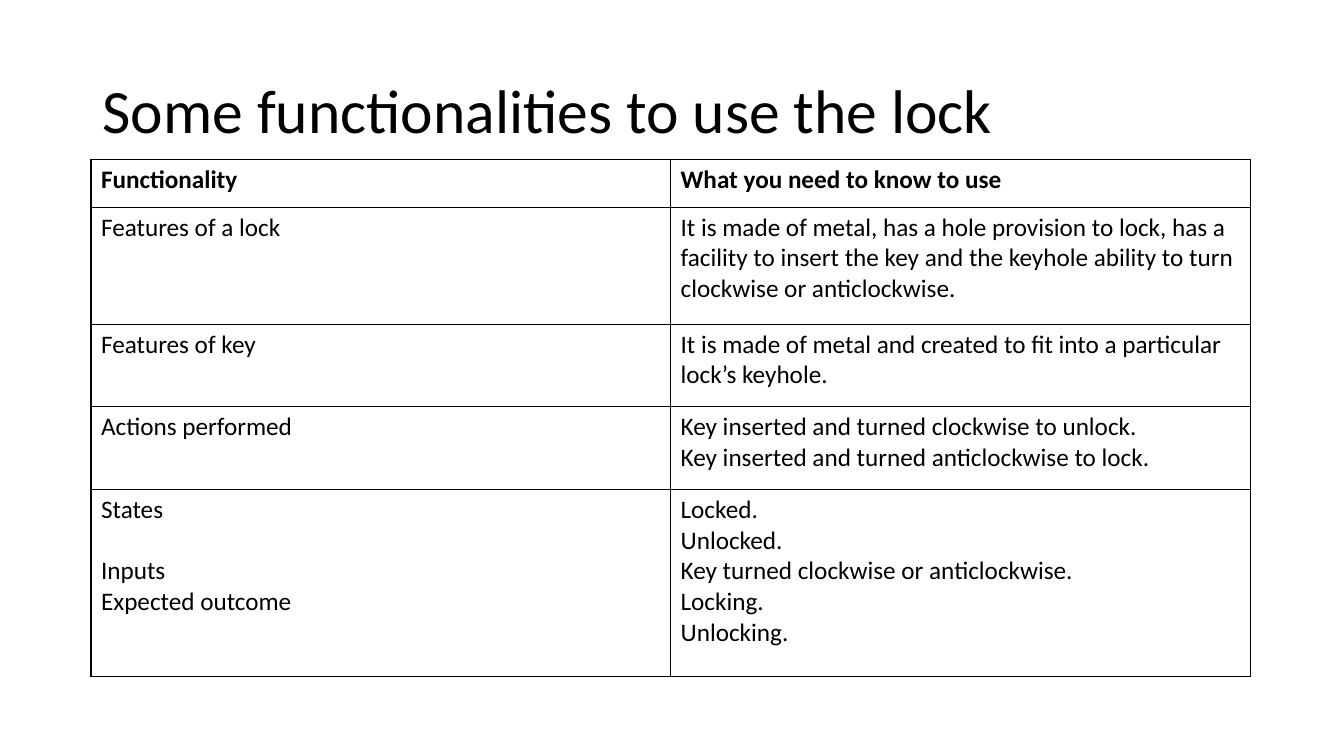
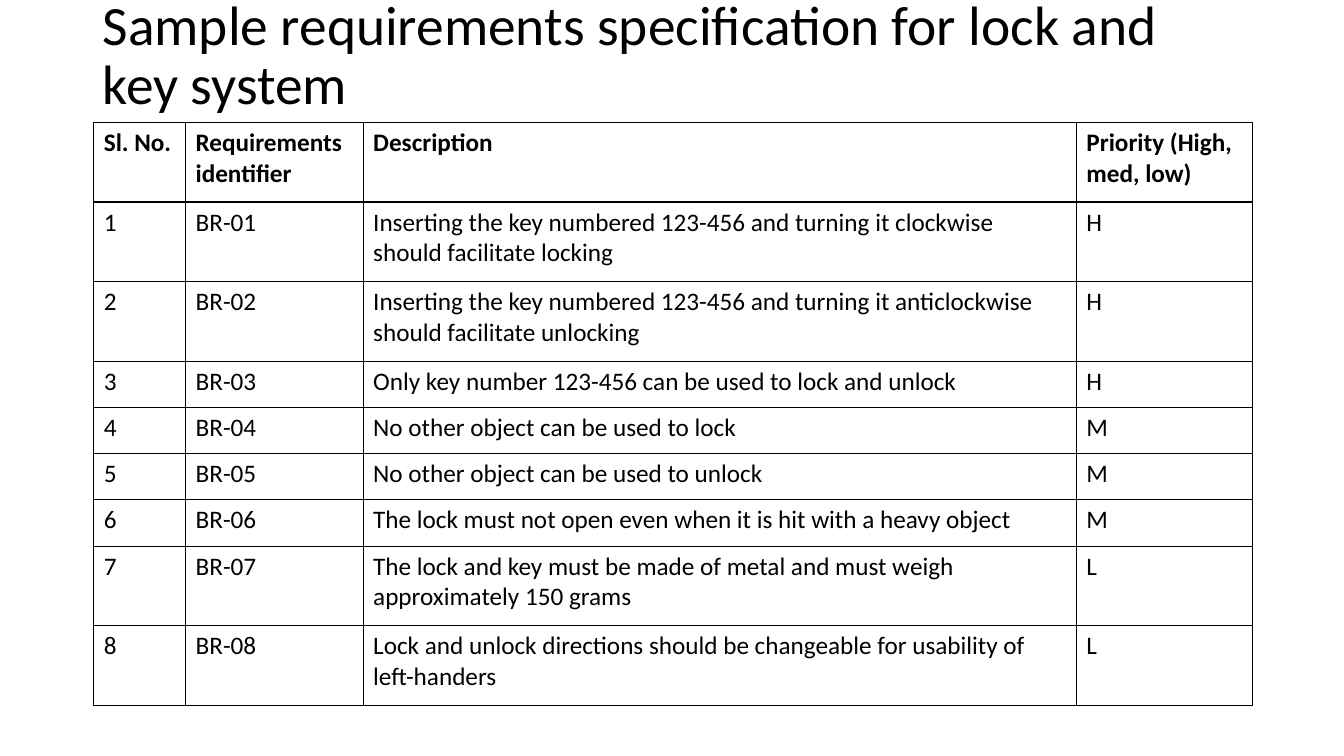
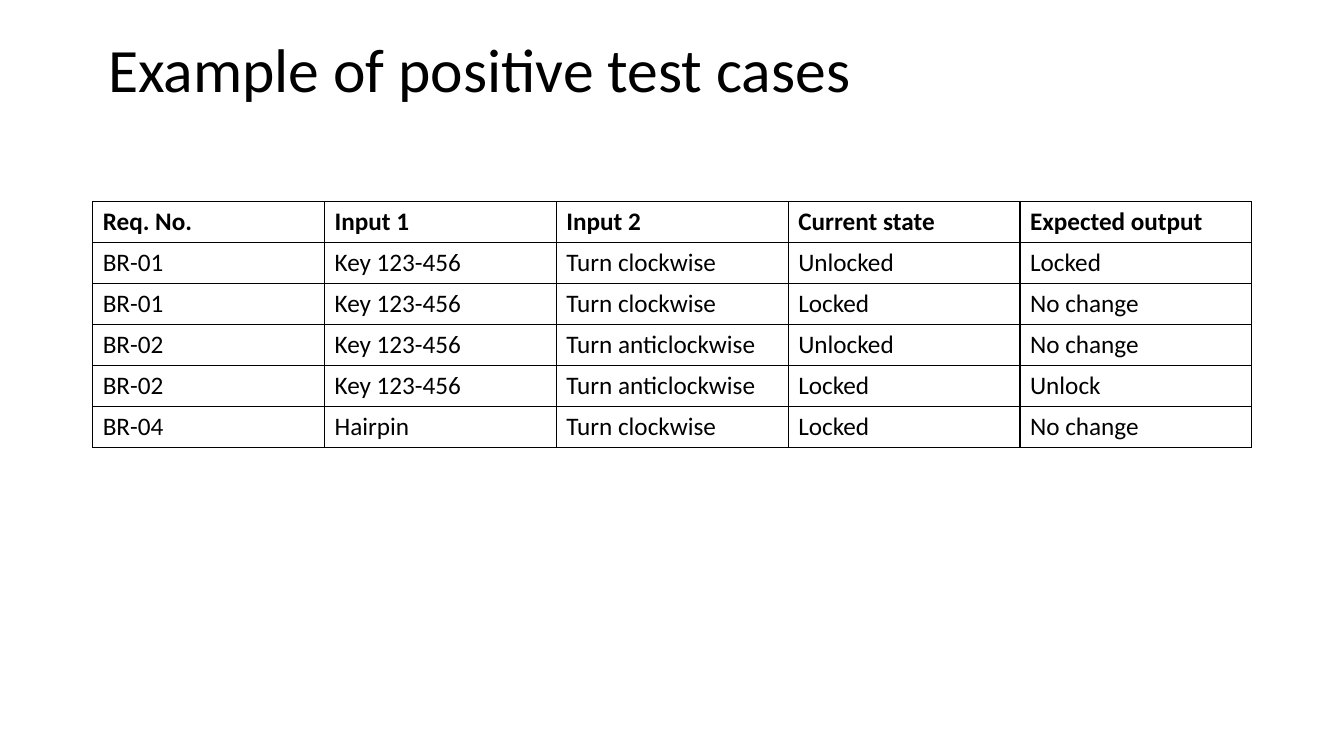
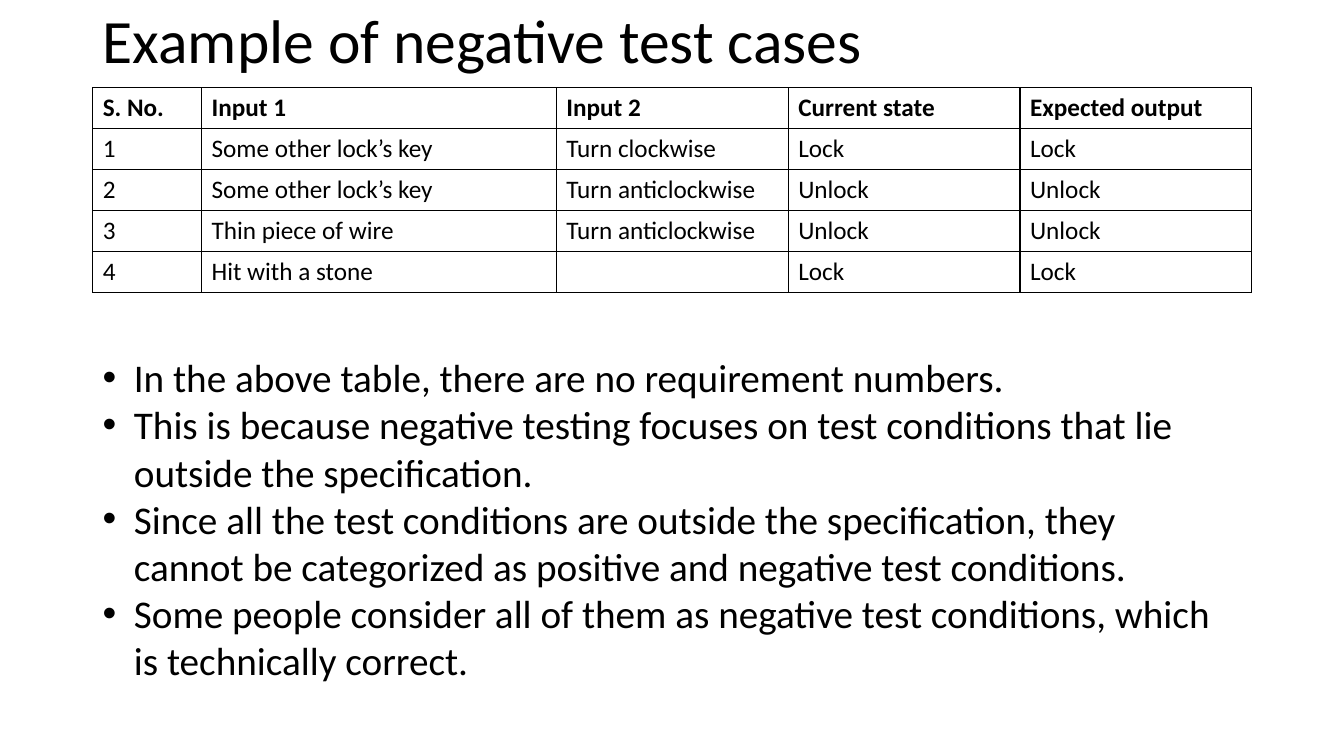
"""Build four slides on test cases for a lock and key system."""
from dataclasses import dataclass

from pptx import Presentation
from pptx import util as u
from pptx.dml.color import RGBColor
from pptx.enum import text
from pptx.oxml import parse_xml
from pptx.oxml.ns import nsdecls

SLIDE_WIDTH, SLIDE_HEIGHT = u.Inches(13.33), u.Inches(7.5)


@dataclass(frozen=True)
class Theme:
    """Colours, type sizes and shared places (places in percent of the slide)."""
    font: str = "Calibri"
    ink: str = "000000"
    paper: str = "FFFFFF"
    title: float = 44
    long_title: float = 39.6
    body: float = 28
    cell: float = 18
    blank_line: float = 22
    border: float = 1
    left: float = 6.9
    width: float = 86.25
    row: float = 5.42


THEME = Theme()


def across(percent):
    """Turn a share of the slide's width into a length."""
    return round(SLIDE_WIDTH * percent / 100)


def down(percent):
    """Turn a share of the slide's height into a length."""
    return round(SLIDE_HEIGHT * percent / 100)


def add_bullet(para, indent=0.31):
    """Give a paragraph a round bullet with a hanging indent in inches."""
    properties = para._p.get_or_add_pPr()
    properties.set("marL", str(u.Inches(indent)))
    properties.set("indent", str(-u.Inches(indent)))
    properties.append(parse_xml(f'<a:buFont {nsdecls("a")} typeface="Arial"/>'))
    properties.append(parse_xml(f'<a:buChar {nsdecls("a")} char="•"/>'))


def write(frame, content, size, bold=False, bullet=False, spacing=None, gap_before=()):
    """Write one paragraph per line; lines in gap_before get a line of space above."""
    for index, line in enumerate(content.split("\n")):
        para = frame.paragraphs[0] if index == 0 else frame.add_paragraph()
        if spacing:
            para.line_spacing = spacing
        if line in gap_before:
            para.space_before = u.Pt(THEME.blank_line)
        if bullet:
            add_bullet(para)
        if not line:
            continue
        span = para.add_run()
        span.text = line
        span.font.name = THEME.font
        span.font.size = u.Pt(size)
        span.font.bold = bold
        span.font.color.rgb = RGBColor.from_string(THEME.ink)


def add_text(page, content, top, height, size, left=THEME.left, width=THEME.width,
             anchor=text.MSO_ANCHOR.TOP, **style):
    """Place a wrapping text box, in percent of the slide."""
    box = page.shapes.add_textbox(across(left), down(top), across(width), down(height))
    box.text_frame.word_wrap = True
    box.text_frame.vertical_anchor = anchor
    write(box.text_frame, content, size, **style)
    return box


def add_page(deck, title, top=0, height=19.33, size=THEME.title, left=THEME.left):
    """Add a blank page with its title."""
    page = deck.slides.add_slide(deck.slide_layouts[6])
    add_text(page, title, top, height, size, left=left,
             anchor=text.MSO_ANCHOR.MIDDLE, spacing=0.9)
    return page


def add_borders(cell):
    """Draw a thin line on all four sides of a cell."""
    properties = cell._tc.get_or_add_tcPr()
    for position, side in enumerate("LRTB"):
        properties.insert(position, parse_xml(
            f'<a:ln{side} {nsdecls("a")} w="{u.Pt(THEME.border)}"><a:solidFill>'
            f'<a:srgbClr val="{THEME.ink}"/></a:solidFill></a:ln{side}>'))


def add_grid(page, rows, top, columns, heights, left=THEME.left, fill=None, gap_before=()):
    """Add a ruled table: columns are relative widths, heights percent of the slide."""
    table = page.shapes.add_table(
        len(rows), len(columns), across(left), down(top),
        across(THEME.width), down(sum(heights))).table
    table.horz_banding = False
    for column, weight in zip(table.columns, columns):
        column.width = across(THEME.width * weight / sum(columns))
    for row, height, entries in zip(table.rows, heights, rows):
        row.height = down(height)
        for cell, entry in zip(row.cells, entries):
            if fill:
                cell.fill.solid()
                cell.fill.fore_color.rgb = RGBColor.from_string(fill)
            else:
                cell.fill.background()
            add_borders(cell)
            write(cell.text_frame, entry, THEME.cell, bold=entries is rows[0],
                  gap_before=gap_before)


def add_functionalities(deck):
    """Slide 1: what a user has to know about the lock."""
    page = add_page(deck, "Some functionalities to use the lock", top=5.33)
    rows = [
        ("Functionality", "What you need to know to use"),
        ("Features of a lock",
         "It is made of metal, has a hole provision to lock, has a facility to insert "
         "the key and the keyhole ability to turn clockwise or anticlockwise."),
        ("Features of key",
         "It is made of metal and created to fit into a particular lock’s keyhole."),
        ("Actions performed",
         "Key inserted and turned clockwise to unlock.\n"
         "Key inserted and turned anticlockwise to lock."),
        ("States\nInputs\nExpected outcome",
         "Locked.\nUnlocked.\nKey turned clockwise or anticlockwise.\n"
         "Locking.\nUnlocking."),
    ]
    add_grid(page, rows, top=21.1, left=6.77, columns=[1, 1],
             heights=[6.3, 15.47, 10.93, 10.93, 24.8], gap_before=("Inputs",))


def add_requirements(deck):
    """Slide 2: the numbered requirements with their priorities."""
    page = add_page(deck, "Sample requirements specification for lock and key system",
                    height=15.07, size=THEME.long_title)
    requirements = [
        ("Inserting the key numbered 123-456 and turning it clockwise "
         "should facilitate locking", "H"),
        ("Inserting the key numbered 123-456 and turning it anticlockwise "
         "should facilitate unlocking", "H"),
        ("Only key number 123-456 can be used to lock and unlock", "H"),
        ("No other object can be used to lock", "M"),
        ("No other object can be used to unlock", "M"),
        ("The lock must not open even when it is hit with a heavy object", "M"),
        ("The lock and key must be made of metal and must weigh "
         "approximately 150 grams", "L"),
        ("Lock and unlock directions should be changeable for usability of "
         "left-handers", "L"),
    ]
    rows = [("Sl. No.", "Requirements identifier", "Description",
             "Priority (High, med, low)")]
    rows += [(str(number), f"BR-{number:02}", description, priority)
             for number, (description, priority) in enumerate(requirements, 1)]
    two_lines, one_line = 10.53, 6.12
    add_grid(page, rows, top=16.2, left=6.98, columns=[0.91, 1.76, 7.07, 1.75],
             heights=[two_lines] * 3 + [one_line] * 4 + [two_lines] * 2,
             fill=THEME.paper)


def add_positive_cases(deck):
    """Slide 3: test cases that follow the requirements."""
    page = add_page(deck, "Example of positive test cases", left=7.3)
    rows = [
        ("Req. No.", "Input 1", "Input 2", "Current state", "Expected output"),
        ("BR-01", "Key 123-456", "Turn clockwise", "Unlocked", "Locked"),
        ("BR-01", "Key 123-456", "Turn clockwise", "Locked", "No change"),
        ("BR-02", "Key 123-456", "Turn anticlockwise", "Unlocked", "No change"),
        ("BR-02", "Key 123-456", "Turn anticlockwise", "Locked", "Unlock"),
        ("BR-04", "Hairpin", "Turn clockwise", "Locked", "No change"),
    ]
    add_grid(page, rows, top=26.67, columns=[1] * 5, heights=[THEME.row] * len(rows))


def add_negative_cases(deck):
    """Slide 4: test cases outside the requirements, with remarks."""
    page = add_page(deck, "Example of negative test cases", height=11.6)
    rows = [
        ("S. No.", "Input 1", "Input 2", "Current state", "Expected output"),
        ("1", "Some other lock’s key", "Turn clockwise", "Lock", "Lock"),
        ("2", "Some other lock’s key", "Turn anticlockwise", "Unlock", "Unlock"),
        ("3", "Thin piece of wire", "Turn anticlockwise", "Unlock", "Unlock"),
        ("4", "Hit with a stone", "", "Lock", "Lock"),
    ]
    add_grid(page, rows, top=11.6, columns=[1.08, 3.52, 2.3, 2.3, 2.3],
             heights=[THEME.row] * len(rows))
    remarks = [
        "In the above table, there are no requirement numbers.",
        "This is because negative testing focuses on test conditions that lie "
        "outside the specification.",
        "Since all the test conditions are outside the specification, they cannot be "
        "categorized as positive and negative test conditions.",
        "Some people consider all of them as negative test conditions, which is "
        "technically correct.",
    ]
    box = add_text(page, "\n".join(remarks), top=46.13, height=45.33, width=85.4,
                   size=THEME.body, bullet=True)
    box.text_frame.auto_size = text.MSO_AUTO_SIZE.SHAPE_TO_FIT_TEXT


def main():
    """Build the deck and save it."""
    deck = Presentation()
    deck.slide_width, deck.slide_height = SLIDE_WIDTH, SLIDE_HEIGHT
    add_functionalities(deck)
    add_requirements(deck)
    add_positive_cases(deck)
    add_negative_cases(deck)
    deck.save("out.pptx")


main()
